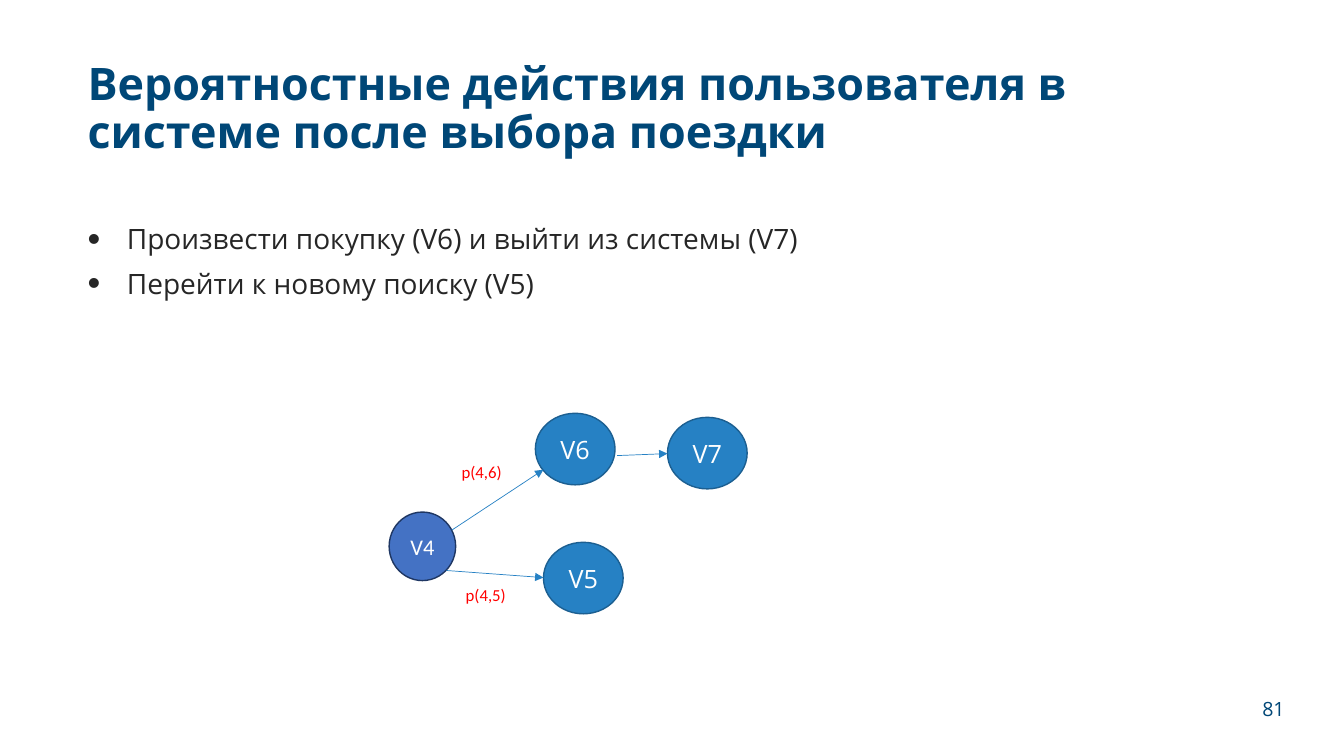
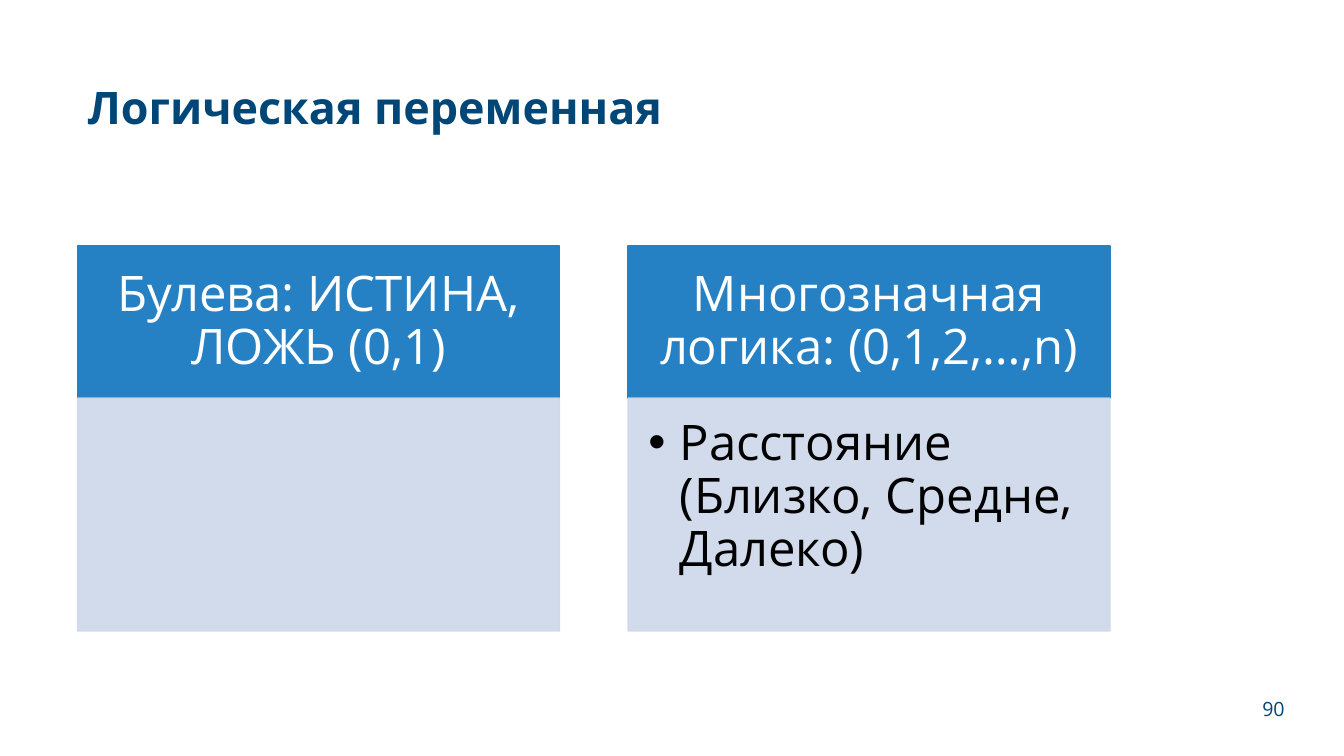
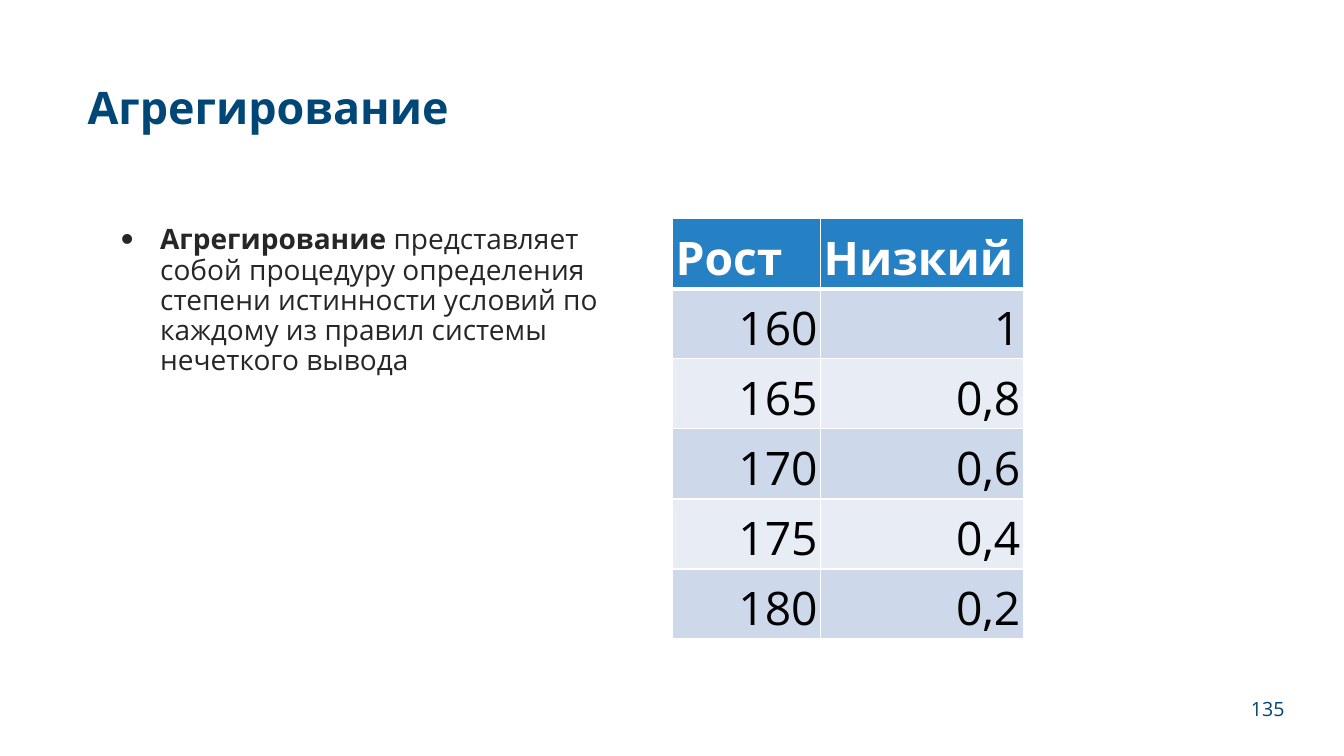
from lxml import etree
from pptx import Presentation
from pptx.dml.color import RGBColor
from pptx.enum import shapes, text
from pptx.oxml import ns
from pptx.util import Inches, Pt

INK = {
    "title": "004777", "body": "262626", "black": "000000", "white": "FFFFFF",
    "blue": "2681C4", "edge": "1C5F91", "start": "4472C4", "rim": "1F3763",
    "pale": "CDD8EA", "light": "E8EDF5", "red": "FF0000",
}
FONT = "Open Sans"
SMALL = "Calibri"
LEFT, WIDE = 0.77, 10.24
INSET = (0.1, 0.05, 0.1, 0.05)
MID = text.MSO_ANCHOR.MIDDLE
TOP = text.MSO_ANCHOR.TOP
CENTER = text.PP_ALIGN.CENTER
RIGHT = text.PP_ALIGN.RIGHT


def rgb(name):
    return RGBColor.from_string(INK[name])


def sub(node, tag, **attrs):
    return etree.SubElement(node, ns.qn(tag), attrs)


# Text
def style(par, size, color, font=FONT, bold=None, align=None, lead=None):
    par.font.size, par.font.name, par.font.bold = Pt(size), font, bold
    par.font.color.rgb = rgb(color)
    par.alignment, par.line_spacing = align, lead


def bullet(par, indent, scale=100):
    props = par._p.get_or_add_pPr()
    props.set("marL", str(Inches(indent)))
    props.set("indent", str(-Inches(indent)))
    sub(props, "a:buSzPct", val=str(scale * 1000))
    sub(props, "a:buFont", typeface="Arial")
    sub(props, "a:buChar", char="•")


def frame(shape, anchor=TOP, inset=INSET):
    box = shape.text_frame
    box.word_wrap, box.vertical_anchor = True, anchor
    (box.margin_left, box.margin_top,
     box.margin_right, box.margin_bottom) = map(Inches, inset)
    return box


def write(slide, at, words, size, color, anchor=TOP, inset=INSET, **look):
    box = frame(slide.shapes.add_textbox(*map(Inches, at)), anchor, inset)
    par = box.paragraphs[0]
    par.text = words
    style(par, size, color, **look)
    return par


def points(slide, at, items):
    """Bulleted list; each item is a (bold lead, plain rest) pair."""
    box = frame(slide.shapes.add_textbox(*map(Inches, at)))
    for i, (lead, rest) in enumerate(items):
        par = box.add_paragraph() if i else box.paragraphs[0]
        bullet(par, 0.39, 130)
        style(par, 20, "body", lead=0.9)
        if i:
            par.space_before = Pt(10)
        if lead:
            run = par.add_run()
            run.text, run.font.bold = lead, True
        par.add_run().text = rest


# Shapes
def block(slide, kind, at, fill, edge, width=1.0, alpha=None):
    shape = slide.shapes.add_shape(kind, *map(Inches, at))
    shape.shadow.inherit = False
    shape.fill.solid()
    shape.fill.fore_color.rgb = rgb(fill)
    shape.line.color.rgb = rgb(edge)
    shape.line.width = Pt(width)
    if alpha:
        for tint in shape._element.spPr.iter(ns.qn("a:srgbClr")):
            sub(tint, "a:alpha", val=str(alpha * 1000))
    return shape


def node(slide, at, name, fill="blue", edge="edge", size=18, font=FONT):
    shape = block(slide, shapes.MSO_SHAPE.FLOWCHART_CONNECTOR, at, fill, edge)
    box = frame(shape, MID)
    box.word_wrap = False
    box.text = name
    style(box.paragraphs[0], size, "white", font, align=CENTER)


def label(slide, x, y, words):
    shape = block(slide, shapes.MSO_SHAPE.RECTANGLE, (x, y, 0.68, 0.26),
                  "white", "white", 0.5)
    box = frame(shape)
    box.text = words
    style(box.paragraphs[0], 12, "red", SMALL, align=text.PP_ALIGN.LEFT)


def arrow(slide, *ends):
    link = slide.shapes.add_connector(shapes.MSO_CONNECTOR.STRAIGHT,
                                      *map(Inches, ends))
    link.line.color.rgb = rgb("blue")
    link.line.width = Pt(0.5)
    sub(link.line._get_or_add_ln(), "a:tailEnd", type="triangle")
    sub(link._element.spPr, "a:effectLst")


def column(slide, x, head, note):
    width, top, split, end = 4.78, 2.44, 3.95, 6.26
    upper = (x, top, width, split - top)
    lower = (x, split, width, end - split)
    rect = shapes.MSO_SHAPE.RECTANGLE
    block(slide, rect, upper, "blue", "blue")
    block(slide, rect, lower, "pale", "pale", alpha=90)
    write(slide, upper, head, 35, "white", MID, (0.27, 0.16, 0.27, 0.16),
          align=CENTER, lead=0.9)
    if note:
        par = write(slide, lower, "", 35, "black",
                    inset=(0.2, 0.2, 0.27, 0.31))
        par._p.remove(par._p.pPr)
        bullet(par, 0.31)
        par.text = note
        style(par, 35, "black", lead=0.9)


# Table
def border(cell, **widths):
    props = cell._tc.get_or_add_tcPr()
    for side in "LRTB":
        line = sub(props, "a:ln" + side, w=str(Pt(widths.get(side, 1))))
        sub(sub(line, "a:solidFill"), "a:srgbClr", val=INK["white"])


def grid(slide, x, y, widths, height, rows):
    size = map(Inches, (x, y, sum(widths), height))
    table = slide.shapes.add_table(len(rows), len(widths), *size).table
    for col, width in zip(table.columns, widths):
        col.width = Inches(width)
    for r, row in enumerate(rows):
        head = r == 0
        fill = "blue" if head else ("light", "pale")[r % 2]
        for c, words in enumerate(row):
            cell = table.cell(r, c)
            border(cell, B=3 if head else 1, T=3 if r == 1 else 1)
            cell.fill.solid()
            cell.fill.fore_color.rgb = rgb(fill)
            cell.vertical_anchor = text.MSO_ANCHOR.BOTTOM
            cell.margin_left = cell.margin_right = Inches(0.03)
            cell.margin_top, cell.margin_bottom = Inches(0.03), 0
            cell.text = words
            style(cell.text_frame.paragraphs[0], 33,
                  "white" if head else "black", bold=head,
                  align=None if head else RIGHT)


# Slides
def page(deck, title, number):
    slide = deck.slides.add_slide(deck.slide_layouts[6])
    write(slide, (LEFT, 0.4, WIDE, 1.38), title, 32, "title", MID,
          bold=True, lead=0.9)
    write(slide, (12.05, 6.84, 0.79, 0.39), number, 14, "title", MID,
          align=RIGHT)
    return slide


def actions(deck):
    slide = page(deck, "Вероятностные действия пользователя в системе "
                 "после выбора поездки", "81")
    points(slide, (LEFT, 2.19, WIDE, 1.2), [
        ("", "Произвести покупку (V6) и выйти из системы (V7)"),
        ("", "Перейти к новому поиску (V5)"),
    ])
    label(slide, 4.48, 4.53, "p(4,6)")
    label(slide, 4.52, 5.75, "p(4,5)")
    node(slide, (3.86, 5.08, 0.66, 0.68), "V4", "start", "rim", 16, SMALL)
    for name, x, y in (("V6", 5.31, 4.1), ("V5", 5.39, 5.38),
                       ("V7", 6.62, 4.14)):
        node(slide, (x, y, 0.79, 0.71), name)
    arrow(slide, 4.48, 5.26, 5.39, 4.66)
    arrow(slide, 4.43, 5.66, 5.39, 5.73)
    arrow(slide, 6.12, 4.52, 6.62, 4.5)


def logic(deck):
    slide = page(deck, "Логическая переменная", "90")
    column(slide, LEFT, "Булева: ИСТИНА, ЛОЖЬ (0,1)", "")
    column(slide, 6.23, "Многозначная логика: (0,1,2,…,n)",
           "Расстояние (Близко, Средне, Далеко)")


def merge(deck):
    slide = page(deck, "Агрегирование", "135")
    points(slide, (1.1, 2.19, 5.31, 1.86), [
        ("Агрегирование", " представляет собой процедуру определения степени "
         "истинности условий по каждому из правил системы нечеткого вывода"),
    ])
    grid(slide, 6.67, 2.17, (1.47, 2.01), 4.17, [
        ("Рост", "Низкий"), ("160", "1"), ("165", "0,8"),
        ("170", "0,6"), ("175", "0,4"), ("180", "0,2"),
    ])


def main():
    deck = Presentation()
    deck.slide_width, deck.slide_height = Inches(13.33), Inches(7.5)
    actions(deck)
    logic(deck)
    merge(deck)
    deck.save("out.pptx")


if __name__ == "__main__":
    main()
